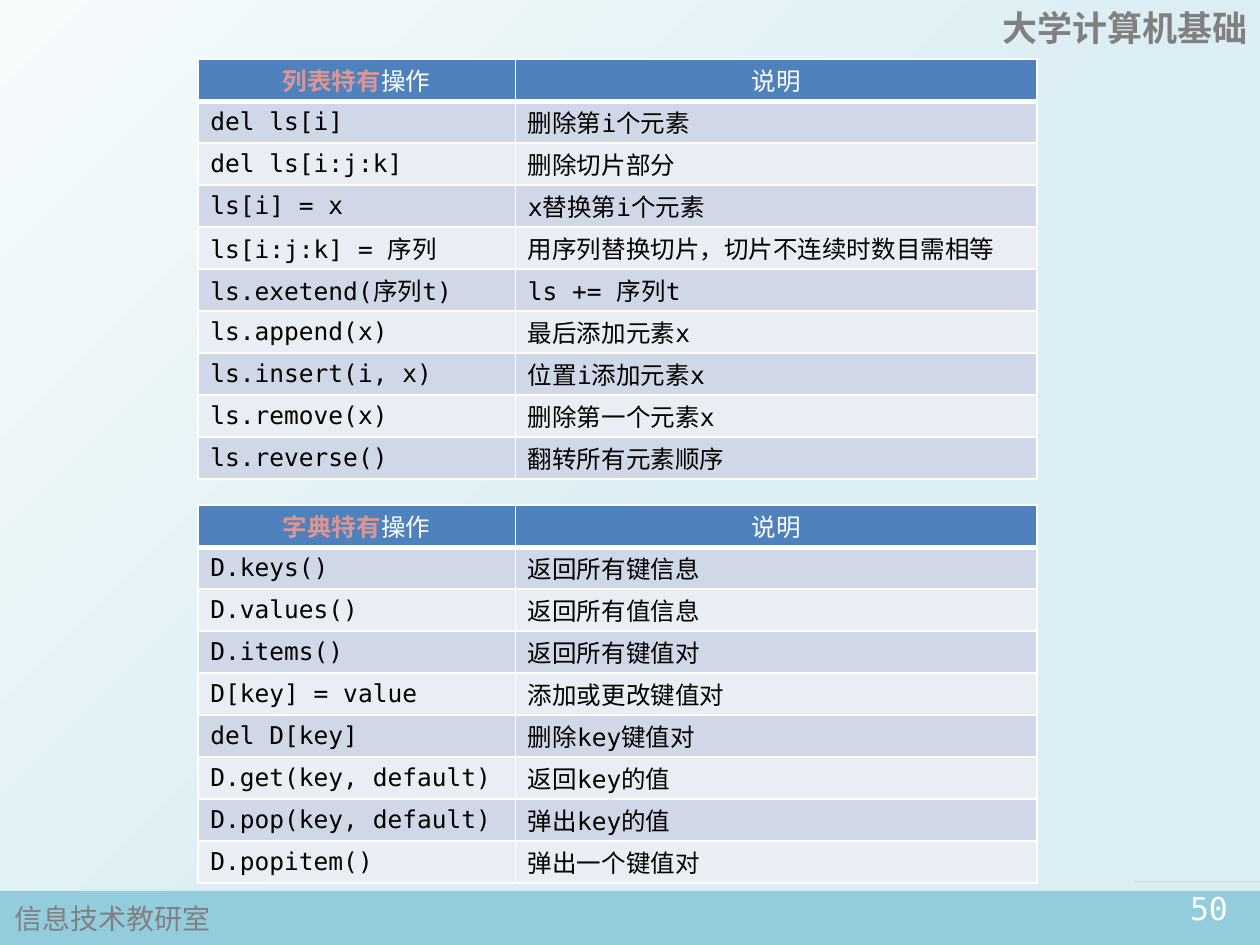
from math import cos, radians, sin

from lxml import etree
from pptx import Presentation
from pptx import util as u
from pptx.dml.color import RGBColor
from pptx.enum import shapes, text
from pptx.oxml import ns

THEME = {
    "mono": "DejaVu Sans Mono", "cjk": "Noto Sans CJK JP",
    "cell": 14, "foot": 16, "page": 18, "title": 20,
    "ink": "000000", "white": "FFFFFF", "grey": "808080", "pink": "D99694",
    "head": "4F81BD", "bands": ("D0D8E8", "E9EDF4"),
    "bar": "93CDDD", "ribbon": "31859C",
    "sky": ((0, "F6FBFC"), (0.56, "DBEEF4")),
}

DICTS = ("字典特有", [
    ("D.keys()", "返回所有键信息"),
    ("D.values()", "返回所有值信息"),
    ("D.items()", "返回所有键值对"),
    ("D[key] = value", "添加或更改键值对"),
    ("del D[key]", "删除key键值对"),
    ("D.get(key, default)", "返回key的值"),
    ("D.pop(key, default)", "弹出key的值"),
    ("D.popitem()", "弹出一个键值对"),
])
LISTS = ("列表特有", [
    ("del ls[i]", "删除第i个元素"),
    ("del ls[i:j:k]", "删除切片部分"),
    ("ls[i] = x", "x替换第i个元素"),
    ("ls[i:j:k] = 序列", "用序列替换切片，切片不连续时数目需相等"),
    ("ls.exetend(序列t)", "ls += 序列t"),
    ("ls.append(x)", "最后添加元素x"),
    ("ls.insert(i, x)", "位置i添加元素x"),
    ("ls.remove(x)", "删除第一个元素x"),
    ("ls.reverse()", "翻转所有元素顺序"),
])
TABLES = [(4.01, DICTS), (0.47, LISTS)]
LEFT, COLS, ROW, PAD = 1.57, (2.52, 4.14), 1 / 3, 0.02

LEFTWARD, CENTER, RIGHT = (
    text.PP_ALIGN.LEFT, text.PP_ALIGN.CENTER, text.PP_ALIGN.RIGHT)
LABELS = [
    ((0.02, 7.1, 1.77, 0.37), "信息技术教研室", "foot", "cjk", "grey", False, LEFTWARD),
    ((7.83, 0, 2.17, 0.44), "大学计算机基础", "title", "cjk", "grey", True, RIGHT),
    ((9.24, 7.01, 0.71, 0.4), "50", "page", "mono", "white", False, CENTER),
]


def color(code):
    """Turn a hex code into a colour."""
    return RGBColor.from_string(code)


def add_run(para, words, size, face, ink, bold=False):
    """Add one styled run to a paragraph."""
    run = para.add_run()
    run.text = words
    font = run.font
    font.size, font.name, font.bold = u.Pt(THEME[size]), THEME[face], bold
    font.color.rgb = color(THEME[ink])
    east = etree.SubElement(font._element, ns.qn("a:ea"))
    east.set("typeface", THEME["cjk"])


def add_label(slide, box, words, size, face, ink, bold, align):
    """Add a one-line text box."""
    frame = slide.shapes.add_textbox(*map(u.Inches, box)).text_frame
    frame.word_wrap = align != LEFTWARD
    frame.vertical_anchor = text.MSO_ANCHOR.MIDDLE
    para = frame.paragraphs[0]
    para.alignment = align
    add_run(para, words, size, face, ink, bold)


def style_cell(cell, fill, base):
    """Give a cell white borders, a fill and tight margins."""
    props = cell._tc.get_or_add_tcPr()
    for side, width in (("L", 1), ("R", 1), ("T", 1), ("B", base)):
        line = etree.SubElement(props, ns.qn("a:ln" + side), w=str(u.Pt(width)))
        solid = etree.SubElement(line, ns.qn("a:solidFill"))
        etree.SubElement(solid, ns.qn("a:srgbClr"), val=THEME["white"])
    cell.fill.solid()
    cell.fill.fore_color.rgb = color(fill)
    cell.margin_top = cell.margin_bottom = u.Inches(PAD)
    cell.vertical_anchor = text.MSO_ANCHOR.MIDDLE


def add_grid(slide, top, kind, rows):
    """Add a table of operations with a header row."""
    heads = [[(kind, "pink", True), ("操作", "white", False)],
             [("说明", "white", False)]]
    body = [[[(words, "ink", False)] for words in row] for row in rows]
    count = len(rows) + 1
    table = slide.shapes.add_table(
        count, len(COLS), u.Inches(LEFT), u.Inches(top),
        u.Inches(sum(COLS)), u.Inches(ROW * count)).table
    for col, width in zip(table.columns, COLS):
        col.width = u.Inches(width)
    for i, row in enumerate([heads] + body):
        table.rows[i].height = u.Inches(ROW)
        fill = THEME["bands"][(i - 1) % 2] if i else THEME["head"]
        for j, runs in enumerate(row):
            cell = table.cell(i, j)
            style_cell(cell, fill, 1 if i else 3)
            para = cell.text_frame.paragraphs[0]
            para.alignment = LEFTWARD if i else CENTER
            for words, ink, bold in runs:
                add_run(para, words, "cell", "mono", ink, bold)


def arc(x, y, rx, ry, start, end):
    """List points along an elliptic arc."""
    turns = [radians(start + (end - start) * n / 16) for n in range(17)]
    return [(x + rx * cos(t), y - ry * sin(t)) for t in turns]


def paint(shape, fill):
    """Give a shape a flat fill with no line or shadow."""
    shape.shadow.inherit = False
    shape.fill.solid()
    shape.fill.fore_color.rgb = color(fill)
    shape.line.fill.background()


def add_ribbon(slide):
    """Draw the page marker: a curl and a notched ribbon."""
    curl = arc(9.88, 6.98, 0.08, 0.08, 0, 180) + [(9.8, 7.07), (9.96, 7.07)]
    strip = (arc(9.51, 6.99, 0.1, 0.09, 180, 90)
             + arc(9.84, 6.97, 0.06, 0.07, 110, 180)
             + [(9.78, 7.49), (9.59, 7.41), (9.41, 7.49)])
    pen = slide.shapes.build_freeform(*curl[0], scale=u.Inches(1))
    pen.add_line_segments(curl[1:], close=True)
    pen.move_to(*strip[0])
    pen.add_line_segments(strip[1:], close=True)
    paint(pen.convert_to_shape(), THEME["ribbon"])


def main():
    """Build and save the slide."""
    deck = Presentation()
    deck.slide_width, deck.slide_height = u.Inches(10), u.Inches(7.5)
    slide = deck.slides.add_slide(deck.slide_layouts[6])
    sky = slide.background.fill
    sky.gradient()
    sky.gradient_angle = 315
    for stop, (place, code) in zip(sky.gradient_stops, THEME["sky"]):
        stop.position, stop.color.rgb = place, color(code)
    bar = slide.shapes.add_shape(
        shapes.MSO_SHAPE.RECTANGLE, *map(u.Inches, (0, 7.07, 10, 0.43)))
    paint(bar, THEME["bar"])
    add_ribbon(slide)
    for label in LABELS:
        add_label(slide, *label)
    for top, (kind, rows) in TABLES:
        add_grid(slide, top, kind, rows)
    deck.save("out.pptx")


if __name__ == "__main__":
    main()
